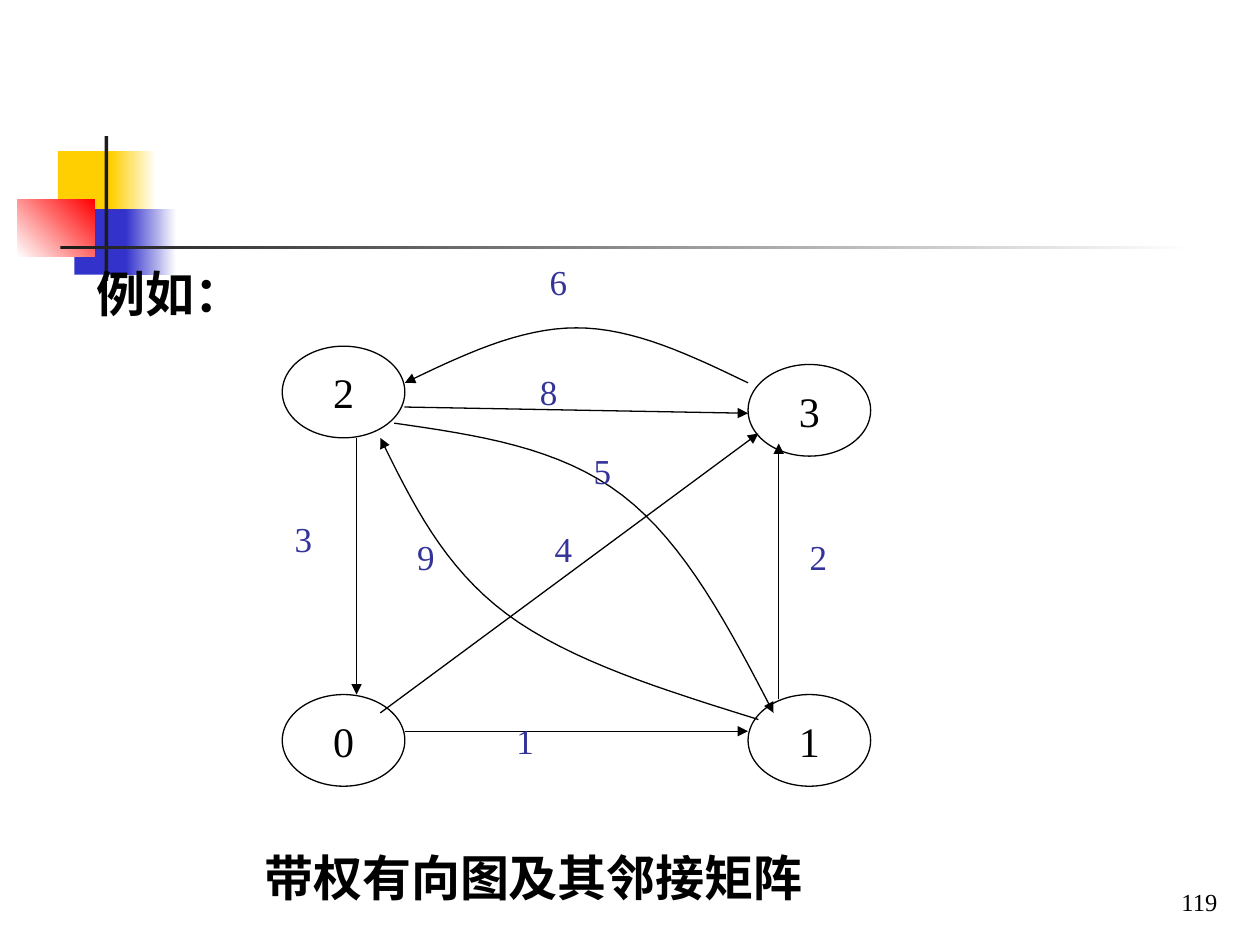
from lxml import etree
from pptx import Presentation
from pptx.dml.color import RGBColor
from pptx.enum.shapes import MSO_CONNECTOR, MSO_SHAPE
from pptx.enum.text import MSO_ANCHOR, PP_ALIGN
from pptx.oxml.ns import qn
from pptx.util import Inches, Pt

FONT = "Times New Roman"
WHITE, BLACK, LABEL = "FFFFFF", "000000", "333399"
YELLOW, BLUE, RED, DARK = "FFCF01", "3333CC", "FF0000", "1C1C1C"

NODE_W, NODE_H = 5, 5
NODES = {"2": (0, 5), "3": (19, 6), "1": (19, 24), "0": (0, 24)}
STRAIGHT_EDGES = [
    ((4, 25), (19.42, 9.76)),
    ((4.98, 8.32), (19, 8.66)),
    ((3.03, 10), (3.03, 24)),
    ((5, 26), (19, 26)),
    ((20.25, 24.26), (20.25, 10.31)),
]
CURVED_EDGES = [
    ((19, 7), (12, 4), (5, 7)),
    ((4.57, 9.2), (13.87, 13.13), (20.04, 25)),
    ((19.42, 25.36), (9.15, 19.6), (4, 10)),
]
WEIGHTS = {"6": (10.4, 0), "4": (10.6, 14.57), "2": (21, 15), "8": (10, 6),
           "3": (0, 14), "9": (5, 15), "5": (12.2, 10.3), "1": (9.04, 25)}


def rgb(value):
    return RGBColor.from_string(value)


def make_grid(box, cols, rows):
    """Return a function turning grid columns and rows into slide lengths."""
    x, y, w, h = box

    def place(col, row, width=None, height=None):
        point = Inches(x + col * w / cols), Inches(y + row * h / rows)
        if width is None:
            return point
        return *point, Inches(width * w / cols), Inches(height * h / rows)
    return place


def write(shape, text, size=20, color=BLACK, bold=False, align=PP_ALIGN.LEFT,
          anchor=MSO_ANCHOR.TOP, wrap=True):
    tf = shape.text_frame
    tf.word_wrap = wrap
    tf.vertical_anchor = anchor
    p = tf.paragraphs[0]
    p.alignment = align
    r = p.add_run()
    r.text = text
    r.font.name, r.font.size, r.font.bold = FONT, Pt(size), bold
    r.font.color.rgb = rgb(color)


def add_text(s, place, text, **fmt):
    write(s.shapes.add_textbox(*place), text, **fmt)


def style_edge(shape):
    """Give an edge a thin black line ending in an arrowhead and no shadow."""
    shape.line.color.rgb = rgb(BLACK)
    shape.line.width = Pt(0.75)
    ln = shape.line._get_or_add_ln()
    etree.SubElement(ln, qn("a:tailEnd"), type="triangle")
    sp_pr = ln.getparent()
    if sp_pr.find(qn("a:effectLst")) is None:
        etree.SubElement(sp_pr, qn("a:effectLst"))


def bezier(a, b, c, d, steps=16):
    for i in range(1, steps + 1):
        t = i / steps
        u = 1 - t
        yield tuple(u**3 * p + 3 * u * u * t * q + 3 * u * t * t * m + t**3 * n
                    for p, q, m, n in zip(a, b, c, d))


def curve_points(start, mid, end):
    """Smooth curve through three points, parallel to its chord at the middle."""
    def average(p, q):
        return tuple((a + b) / 2 for a, b in zip(p, q))

    handle = [(b - a) / 6 for a, b in zip(start, end)]
    before = tuple(m - h for m, h in zip(mid, handle))
    after = tuple(m + h for m, h in zip(mid, handle))
    yield from bezier(start, average(start, before), before, mid)
    yield from bezier(mid, after, average(after, end), end)


def add_ornament(s, box):
    place = make_grid(box, 934, 115)
    blocks = [
        ((32, 12, 48, 52), [YELLOW], 0),
        ((74, 12, 36, 52), [YELLOW, WHITE], 0),
        ((45, 58, 46, 52), [BLUE], 0),
        ((86, 58, 40, 52), [BLUE, WHITE], 0),
        ((0, 50, 61, 46), [WHITE, RED], 45),
        ((69, 0, 3, 115), [DARK], 0),
        ((34, 87, 900, 3), [DARK, WHITE], 0),
    ]
    for cells, colors, angle in blocks:
        sp = s.shapes.add_shape(MSO_SHAPE.RECTANGLE, *place(*cells))
        sp.shadow.inherit = False
        sp.line.fill.background()
        if len(colors) == 1:
            sp.fill.solid()
            sp.fill.fore_color.rgb = rgb(colors[0])
        else:
            sp.fill.gradient()
            sp.fill.gradient_angle = angle
            for stop, color in zip(sp.fill.gradient_stops, colors):
                stop.color.rgb = rgb(color)


def add_graph(s, box):
    place = make_grid(box, 24, 29)
    for name, corner in NODES.items():
        sp = s.shapes.add_shape(MSO_SHAPE.OVAL, *place(*corner, NODE_W, NODE_H))
        sp.shadow.inherit = False
        sp.fill.background()
        sp.line.color.rgb = rgb(BLACK)
        sp.line.width = Pt(0.75)
        write(sp, name, size=24, align=PP_ALIGN.CENTER,
              anchor=MSO_ANCHOR.MIDDLE, wrap=False)
    for start, end in STRAIGHT_EDGES:
        style_edge(s.shapes.add_connector(
            MSO_CONNECTOR.STRAIGHT, *place(*start), *place(*end)))
    for start, mid, end in CURVED_EDGES:
        builder = s.shapes.build_freeform(*place(*start))
        builder.add_line_segments(
            [place(*pt) for pt in curve_points(start, mid, end)], close=False)
        sp = builder.convert_to_shape()
        sp.fill.background()
        style_edge(sp)
    for weight, corner in WEIGHTS.items():
        add_text(s, place(*corner, 4, 5), weight, color=LABEL)


def add_captions(s, box):
    place = make_grid(box, 100, 100)
    add_text(s, place(6.7, 27.2, 20, 8), "例如：", size=28, bold=True)
    add_text(s, place(20, 89, 50, 8), "带权有向图及其邻接矩阵", size=28, bold=True)
    add_text(s, place(76.8, 90.93, 20.8, 6.67), "119", size=14,
             align=PP_ALIGN.RIGHT, anchor=MSO_ANCHOR.BOTTOM)


def main():
    prs = Presentation()
    prs.slide_width, prs.slide_height = Inches(10), Inches(7.5)
    s = prs.slides.add_slide(prs.slide_layouts[6])
    add_ornament(s, (0.14, 1.08, 9.34, 1.15))
    add_captions(s, (0, 0, 10, 7.5))
    add_graph(s, (2.24, 2.02, 4.67, 4.22))
    prs.save("out.pptx")


if __name__ == "__main__":
    main()
